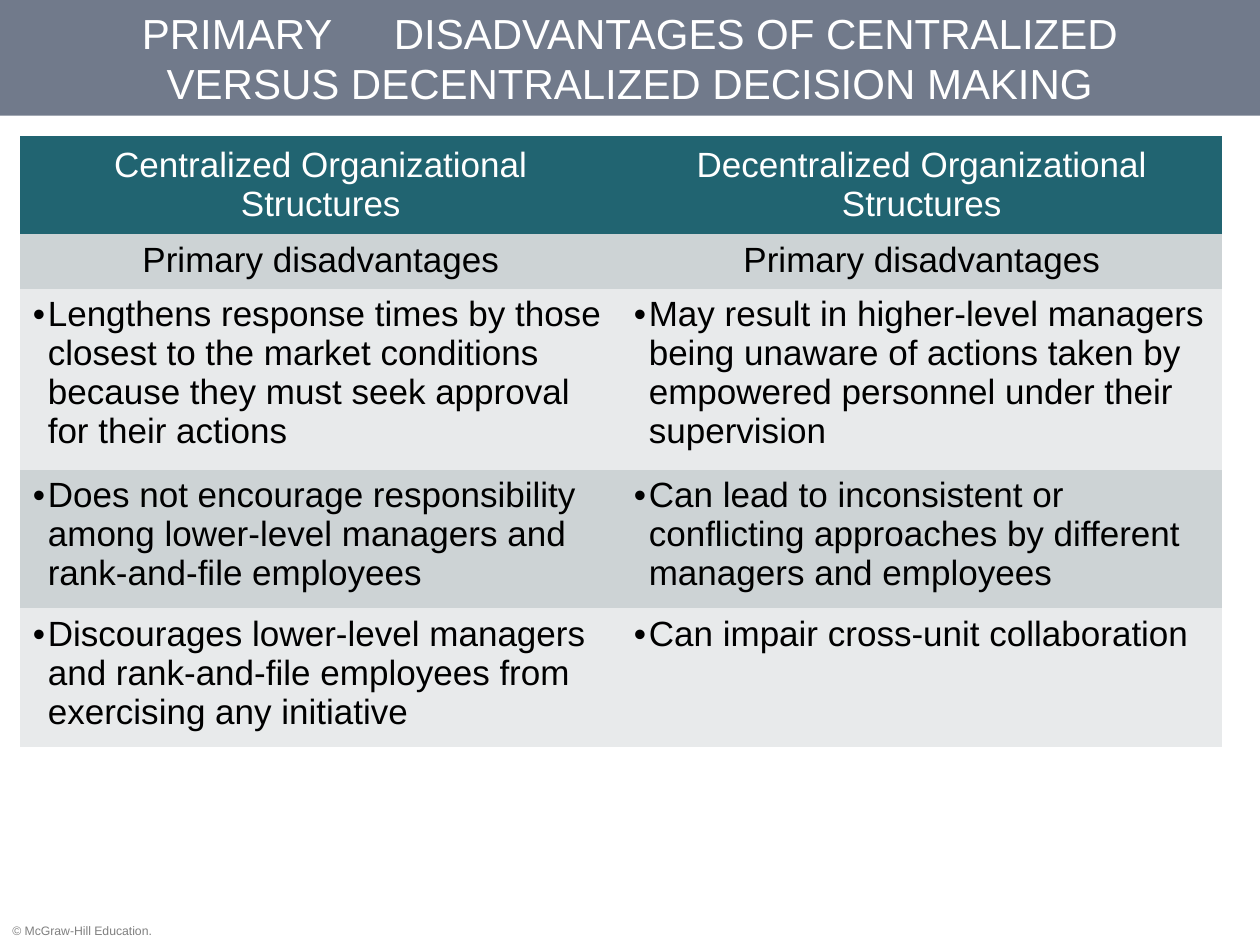
from lxml import etree
from pptx import Presentation
from pptx.dml.color import RGBColor
from pptx.enum.text import MSO_ANCHOR, MSO_AUTO_SIZE, PP_ALIGN
from pptx.oxml.ns import qn
from pptx.util import Cm, Pt

CENTER = PP_ALIGN.CENTER
LEFT = PP_ALIGN.LEFT
MIDDLE = MSO_ANCHOR.MIDDLE
TOP = MSO_ANCHOR.TOP
NO_AUTOFIT = MSO_AUTO_SIZE.NONE
TITLE_ONLY_LAYOUT = 5
PLAIN_TABLE_STYLE = "{2D5ABB26-0587-4C30-8999-92F81FD0307C}"
FONT = "Arial"
WHITE = "FFFFFF"
BLACK = "000000"
GRAY = "808080"
SLATE = "717A8B"
TEAL = "216471"
BAND_DARK = "CDD3D5"
BAND_LIGHT = "E8EAEB"

TITLE = "PRIMARY \tDISADVANTAGES OF CENTRALIZED VERSUS DECENTRALIZED DECISION MAKING"
HEADINGS = ("Centralized Organizational Structures", "Decentralized Organizational Structures")
SUBHEADINGS = ("Primary disadvantages",) * 2
DISADVANTAGES = [
    ("Lengthens response times by those closest to the market conditions because they must seek approval for their actions",
     "May result in higher-level managers being unaware of actions taken by empowered personnel under their supervision"),
    ("Does not encourage responsibility among lower-level managers and rank-and-file employees",
     "Can lead to inconsistent or conflicting approaches by different managers and employees"),
    ("Discourages lower-level managers and rank-and-file employees from exercising any initiative",
     "Can impair cross-unit collaboration"),
]
ROW_HEIGHTS = (1.98, 1.09, 3.63, 2.79, 2.79)
TABLE_WIDTH = 24.23


def color(value):
    return RGBColor.from_string(value)


def fill_solid(target, value):
    target.fill.solid()
    target.fill.fore_color.rgb = color(value)


def write_text(paragraph, text, size, text_color, alignment=LEFT):
    paragraph.alignment = alignment
    run = paragraph.add_run()
    run.text = text
    run.font.name = FONT
    run.font.size = Pt(size)
    run.font.bold = False
    run.font.color.rgb = color(text_color)


def add_bullet(paragraph):
    properties = paragraph._p.get_or_add_pPr()
    properties.set("marL", str(Cm(0.3)))
    properties.set("indent", str(-Cm(0.3)))
    etree.SubElement(properties, qn("a:buFont"), typeface=FONT)
    etree.SubElement(properties, qn("a:buChar"), char="•")


def add_title(slide):
    title = slide.shapes.title
    title.left, title.top, title.width, title.height = Cm(0), Cm(0), Cm(25.4), Cm(2.33)
    fill_solid(title, SLATE)
    frame = title.text_frame
    frame.auto_size = NO_AUTOFIT
    frame.word_wrap = True
    frame.vertical_anchor = MIDDLE
    frame.margin_left = frame.margin_right = Cm(1.27)
    frame.margin_top = frame.margin_bottom = Cm(0.13)
    write_text(frame.paragraphs[0], TITLE, 24, WHITE, CENTER)


def fill_row(row, texts, fill, text_color=BLACK, alignment=CENTER, anchor=TOP, bulleted=False):
    for cell, text in zip(row.cells, texts):
        fill_solid(cell, fill)
        cell.vertical_anchor = anchor
        paragraph = cell.text_frame.paragraphs[0]
        if bulleted:
            add_bullet(paragraph)
        write_text(paragraph, text, 20, text_color, alignment)


def add_comparison_table(slide):
    table = slide.shapes.add_table(
        len(ROW_HEIGHTS), len(HEADINGS), Cm(0.41), Cm(2.74), Cm(TABLE_WIDTH), Cm(sum(ROW_HEIGHTS))
    ).table
    table.horz_banding = False
    table._tbl.tblPr.find(qn("a:tableStyleId")).text = PLAIN_TABLE_STYLE
    for row, height in zip(table.rows, ROW_HEIGHTS):
        row.height = Cm(height)
    fill_row(table.rows[0], HEADINGS, TEAL, WHITE, anchor=MIDDLE)
    fill_row(table.rows[1], SUBHEADINGS, BAND_DARK)
    for index, texts in enumerate(DISADVANTAGES):
        band = BAND_DARK if index % 2 else BAND_LIGHT
        fill_row(table.rows[index + 2], texts, band, alignment=LEFT, bulleted=True)


def add_copyright(slide):
    box = slide.shapes.add_textbox(Cm(0), Cm(18.49), Cm(3.43), Cm(0.56))
    box.text_frame.word_wrap = True
    write_text(box.text_frame.paragraphs[0], "© McGraw-Hill Education.", 7, GRAY)


def main():
    presentation = Presentation()
    presentation.slide_width = Cm(25.4)
    presentation.slide_height = Cm(19.05)
    slide = presentation.slides.add_slide(presentation.slide_layouts[TITLE_ONLY_LAYOUT])
    add_copyright(slide)
    add_title(slide)
    add_comparison_table(slide)
    presentation.save("out.pptx")


if __name__ == "__main__":
    main()
